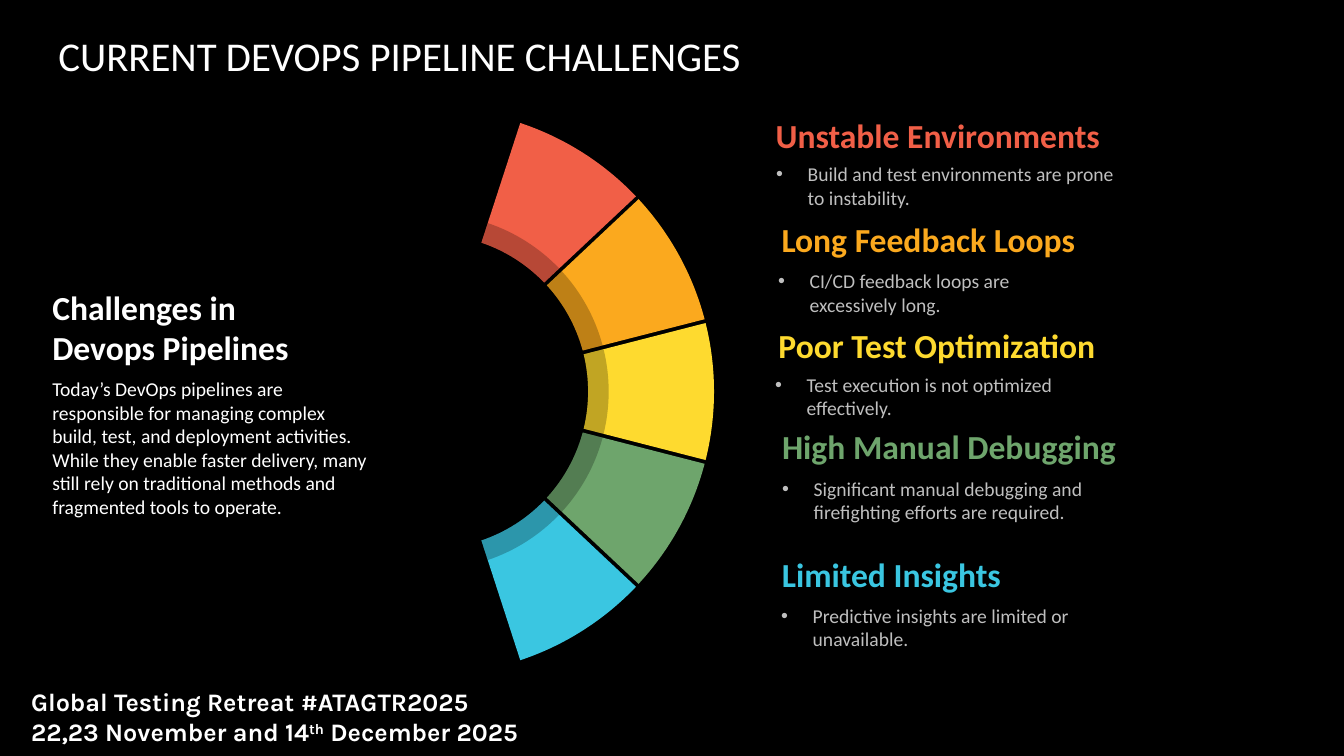
import math
from dataclasses import dataclass

from lxml import etree
from pptx import Presentation
from pptx.dml.color import RGBColor
from pptx.enum.text import MSO_ANCHOR, MSO_AUTO_SIZE, PP_ALIGN
from pptx.oxml.ns import qn
from pptx.util import Pt

TOP, BOTTOM = MSO_ANCHOR.TOP, MSO_ANCHOR.BOTTOM
LEFT, CENTER = PP_ALIGN.LEFT, PP_ALIGN.CENTER
FIXED, GROW = MSO_AUTO_SIZE.NONE, MSO_AUTO_SIZE.SHAPE_TO_FIT_TEXT


@dataclass(frozen=True)
class Theme:
    background: str = "000000"
    text: str = "FFFFFF"
    muted: str = "BFBFBF"
    red: str = "F15F47"
    orange: str = "FBA91E"
    yellow: str = "FEDA2F"
    green: str = "6EA56C"
    blue: str = "3AC6E1"
    font: str = "Calibri"
    footer_font: str = "Karla"
    title_size: float = 29.2
    heading_size: float = 24
    footer_size: float = 18
    body_size: float = 14
    shade_alpha: int = 24


class SlideBuilder:
    def __init__(self, slide, theme):
        self.slide = slide
        self.theme = theme
        fill = slide.background.fill
        fill.solid()
        fill.fore_color.rgb = RGBColor.from_string(theme.background)

    def text(self, box, paragraphs, size, color, bold=False, font=None, align=LEFT,
             anchor=TOP, insets=(0, 0), bullet=False, line_spacing=None, auto_size=GROW):
        """Each paragraph is a string or a list of (text, is_superscript) runs."""
        shape = self.slide.shapes.add_textbox(*map(Pt, box))
        frame = shape.text_frame
        frame.word_wrap = True
        frame.auto_size = auto_size
        frame.vertical_anchor = anchor
        frame.margin_left, frame.margin_right = map(Pt, insets)
        for index, content in enumerate(paragraphs):
            paragraph = frame.add_paragraph() if index else frame.paragraphs[0]
            if isinstance(content, str):
                paragraph.text = content
            else:
                self.add_runs(paragraph, content)
            paragraph.alignment = align
            if line_spacing:
                paragraph.line_spacing = line_spacing
            if bullet:
                self.add_bullet(paragraph)
            paragraph.font.name = font or self.theme.font
            paragraph.font.size = Pt(size)
            paragraph.font.bold = bold
            paragraph.font.color.rgb = RGBColor.from_string(color)

    def add_runs(self, paragraph, runs):
        for text, superscript in runs:
            run = paragraph.add_run()
            run.text = text
            if superscript:
                run._r.get_or_add_rPr().set("baseline", "30000")

    def add_bullet(self, paragraph, indent=22.5):
        properties = paragraph._p.get_or_add_pPr()
        properties.set("marL", str(Pt(indent)))
        properties.set("indent", str(-Pt(indent)))
        etree.SubElement(properties, qn("a:buFont")).set("typeface", "Arial")
        etree.SubElement(properties, qn("a:buChar")).set("char", "•")

    def heading(self, box, text, color, align=CENTER, insets=(0, 0)):
        self.text(box, [text], self.theme.heading_size, color, bold=True,
                  align=align, anchor=BOTTOM, insets=insets)

    def ring_segment(self, center, inner, outer, start, end, half_gap, color, alpha=None):
        """Ring segment between two angles in degrees, with parallel gaps at its sides."""
        def arc(radius):
            """End points and control points of one cubic curve."""
            trim = math.asin(half_gap / radius)
            first, last = math.radians(start) + trim, math.radians(end) - trim
            handle = 4 / 3 * math.tan((last - first) / 4)
            for angle, pull in ((first, 0), (first, handle), (last, -handle), (last, 0)):
                x = math.cos(angle) - pull * math.sin(angle)
                y = math.sin(angle) + pull * math.cos(angle)
                yield Pt(center[0] + radius * x), Pt(center[1] + radius * y)

        points = list(arc(outer)) + list(arc(inner))[::-1]
        builder = self.slide.shapes.build_freeform(*points[0], scale=1.0)
        builder.add_line_segments(points[1:], close=True)
        shape = builder.convert_to_shape()
        lines = list(shape._element.iter(qn("a:lnTo")))
        self.bend(lines[:3])
        self.bend(lines[4:7])
        shape.shadow.inherit = False
        shape.line.fill.background()
        shape.fill.solid()
        shape.fill.fore_color.rgb = RGBColor.from_string(color)
        if alpha is not None:
            color_element = shape._element.spPr.find(qn("a:solidFill"))[0]
            etree.SubElement(color_element, qn("a:alpha")).set("val", str(alpha * 1000))

    def bend(self, lines):
        """Turn three line steps into one cubic curve."""
        outline = lines[0].getparent()
        curve = etree.Element(qn("a:cubicBezTo"))
        outline.insert(outline.index(lines[0]), curve)
        for line in lines:
            curve.append(line[0])
            outline.remove(line)


def main():
    theme = Theme()
    presentation = Presentation()
    presentation.slide_width, presentation.slide_height = Pt(960), Pt(540)
    slide = presentation.slides.add_slide(presentation.slide_layouts[6])
    builder = SlideBuilder(slide, theme)

    # Event footer
    builder.text((15.1, 486.7, 437, 51.1),
                 ["Global Testing Retreat #ATAGTR2025",
                  [("22,23 November and 14", False), ("th", True), (" December 2025", False)]],
                 theme.footer_size, theme.text, bold=True, font=theme.footer_font,
                 insets=(7.2, 7.2))

    # Title
    builder.text((34.6, -10.8, 693.4, 72), ["CURRENT DEVOPS PIPELINE CHALLENGES"],
                 theme.title_size, theme.text, anchor=BOTTOM, insets=(7.2, 7.2),
                 line_spacing=0.9, auto_size=FIXED)

    # Introduction
    builder.heading((37.4, 200.2, 230.4, 65.5), "Challenges in Devops Pipelines",
                    theme.text, align=LEFT, insets=(0, 45))
    builder.text((37.4, 265.7, 230.4, 108.7),
                 ["Today’s DevOps pipelines are responsible for managing complex "
                  "build, test, and deployment activities.",
                  "While they enable faster delivery, many still rely on traditional "
                  "methods and fragmented tools to operate."],
                 theme.body_size, theme.text)

    # Challenges: colour, heading and its box, detail and its box
    challenges = [
        (theme.red, "Unstable Environments", (552.2, 78.5, 235.4, 36),
         "Build and test environments are prone to instability.", (554.4, 112.3, 251.3, 41)),
        (theme.orange, "Long Feedback Loops", (547.9, 152.6, 230.4, 36),
         "CI/CD feedback loops are excessively long.", (555.8, 188.6, 230.4, 41)),
        (theme.yellow, "Poor Test Optimization", (540.7, 229, 257, 35.3),
         "Test execution is not optimized effectively.", (553.7, 262.8, 257, 41)),
        (theme.green, "High Manual Debugging", (549.4, 285.8, 257, 51.1),
         "Significant manual debugging and firefighting efforts are required.",
         (558.7, 337, 257, 41)),
        (theme.blue, "Limited Insights", (540.7, 391.7, 192.2, 36),
         "Predictive insights are limited or unavailable.", (558, 427.7, 224.6, 41)),
    ]
    ring_center, half_gap = (307.8, 279.7), 1.4
    inner_radius, shade_radius, outer_radius = 112.3, 127, 202.2
    first_angle, sweep = -72, 144 / len(challenges)

    for index, (color, title, title_box, detail, detail_box) in enumerate(challenges):
        start = first_angle + index * sweep
        # Coloured segment, then the shade along its inner edge
        for radius, fill, alpha in ((outer_radius, color, None),
                                    (shade_radius, theme.background, theme.shade_alpha)):
            builder.ring_segment(ring_center, inner_radius, radius, start, start + sweep,
                                 half_gap, fill, alpha)
        builder.heading(title_box, title, color)
        builder.text(detail_box, [detail], theme.body_size, theme.muted, bullet=True)

    presentation.save("out.pptx")


if __name__ == "__main__":
    main()
